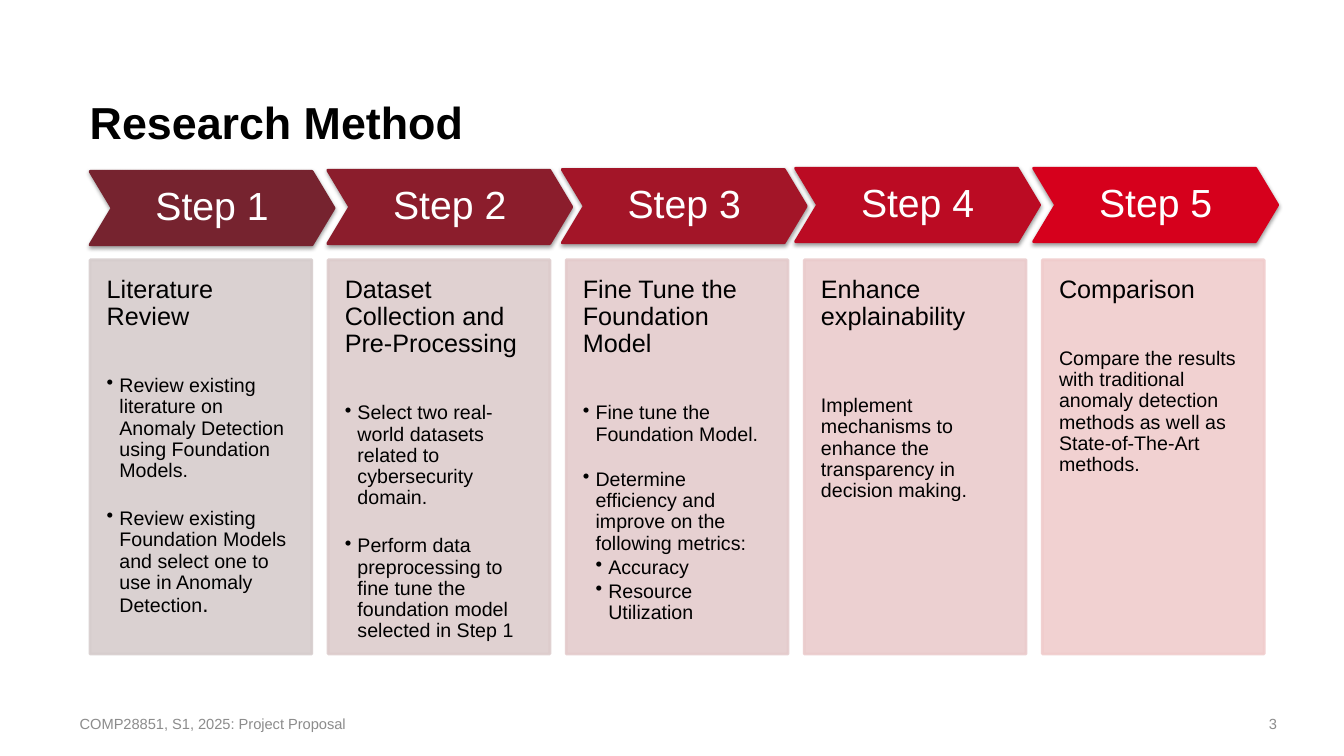
from dataclasses import dataclass

from lxml import etree
from pptx import Presentation
from pptx.dml.color import RGBColor
from pptx.enum.shapes import MSO_SHAPE
from pptx.enum.text import MSO_ANCHOR, MSO_AUTO_SIZE, PP_ALIGN
from pptx.oxml.ns import qn
from pptx.util import Cm, Pt

CHEVRON, RECT = MSO_SHAPE.CHEVRON, MSO_SHAPE.RECTANGLE
TOP, MIDDLE = MSO_ANCHOR.TOP, MSO_ANCHOR.MIDDLE
LEFT, CENTER, RIGHT = PP_ALIGN.LEFT, PP_ALIGN.CENTER, PP_ALIGN.RIGHT
NO_FIT = MSO_AUTO_SIZE.NONE

TITLE = "Research Method"
FOOTER = "COMP28851, S1, 2025: Project Proposal"
PAGE = "3"

# heading, then items of (bullet level, space before in points, text)
STEPS = [
    ("Literature Review", [
        (1, 32, "Review existing literature on Anomaly Detection using Foundation Models."),
        (1, 19.3, "Review existing Foundation Models and select one to use in Anomaly Detection"),
    ]),
    ("Dataset Collection and Pre-Processing", [
        (1, 32, "Select two real-world datasets related to cybersecurity domain."),
        (1, 19.3, "Perform data preprocessing to fine tune the foundation model selected in Step 1"),
    ]),
    ("Fine Tune the Foundation Model", [
        (1, 32, "Fine tune the Foundation Model."),
        (1, 17.2, "Determine efficiency and improve on the following metrics:"),
        (2, 2.1, "Accuracy"),
        (2, 2.1, "Resource Utilization"),
    ]),
    ("Enhance explainability", [
        (0, 46.3, "Implement mechanisms to enhance the transparency in decision making."),
    ]),
    ("Comparison", [
        (0, 32, "Compare the results with traditional anomaly detection methods "
                "as well as State-of-The-Art methods."),
    ]),
]
LARGE_STOP = "."
CHEVRON_SPOTS = [(2.27, 4.32), (8.26, 4.29), (14.17, 4.27), (20.05, 4.24), (26.05, 4.24)]


@dataclass(frozen=True)
class Theme:
    font: str = "Arial"
    black: str = "000000"
    white: str = "FFFFFF"
    grey: str = "8C8C8C"
    chevrons: tuple = ("76232F", "8B1D2C", "A31528", "BB0B23", "D6001C")
    cards: tuple = ("D6CDCD", "DDCCCC", "E4CBCC", "EACBCC", "F0CCCC")
    title: float = 32
    step: float = 28
    heading: float = 18
    stop: float = 16
    body: float = 14
    footer: float = 10.5


T = Theme()
CARD_LEFT, CARD_TOP, CARD_PITCH = 2.27, 6.55, 6
CARD_W, CARD_H = 5.59, 9.93
CHEVRON_W, CHEVRON_H = 6.15, 1.85
INDENT = 0.32


def add_run(p, text, size, color, bold=False):
    r = p.add_run()
    r.text = text
    r.font.name = T.font
    r.font.size = Pt(size)
    r.font.bold = bold
    r.font.color.rgb = RGBColor.from_string(color)


def set_frame(tf, anchor, inset):
    tf.word_wrap = True
    tf.auto_size = NO_FIT
    tf.vertical_anchor = anchor
    tf.margin_left = tf.margin_right = tf.margin_top = tf.margin_bottom = Cm(inset)


def add_block(slide, kind, x, y, w, h, color):
    sp = slide.shapes.add_shape(kind, Cm(x), Cm(y), Cm(w), Cm(h))
    sp.fill.solid()
    sp.fill.fore_color.rgb = RGBColor.from_string(color)
    sp.line.color.rgb = RGBColor.from_string(color)
    sp.line.width = Pt(2)
    sp.shadow.inherit = False
    return sp


def set_alpha(color_el, percent):
    etree.SubElement(color_el, qn("a:alpha"), val=str(percent * 1000))


def add_shadow(sp):
    effects = sp._element.spPr.find(qn("a:effectLst"))
    shadow = etree.SubElement(effects, qn("a:outerShdw"), blurRad=str(Pt(3.1)),
                              dist=str(Pt(1.6)), dir="5400000", rotWithShape="0")
    set_alpha(etree.SubElement(shadow, qn("a:srgbClr"), val=T.black), 38)


def set_bullet(p, level):
    p.level = level
    pPr = p._p.get_or_add_pPr()
    pPr.set("marL", str(Cm(INDENT * level)))
    pPr.set("indent", str(Cm(-INDENT)))
    etree.SubElement(pPr, qn("a:buChar"), char="•")


def add_chevron(slide, number, spot, color):
    sp = add_block(slide, CHEVRON, *spot, CHEVRON_W, CHEVRON_H, color)
    sp.adjustments[0] = 0.3
    add_shadow(sp)
    set_frame(sp.text_frame, MIDDLE, 0.23)
    p = sp.text_frame.paragraphs[0]
    p.alignment = CENTER
    p.line_spacing = 0.9
    add_run(p, f"Step {number}", T.step, T.white)


def add_card(slide, x, heading, items, color):
    sp = add_block(slide, RECT, x, CARD_TOP, CARD_W, CARD_H, color)
    for color_el in sp._element.spPr.iter(qn("a:srgbClr")):
        set_alpha(color_el, 90)
    tf = sp.text_frame
    set_frame(tf, TOP, 0.42)
    p = tf.paragraphs[0]
    p.alignment = LEFT
    p.line_spacing = 0.9
    add_run(p, heading, T.heading, T.black)
    for level, gap, text in items:
        p = tf.add_paragraph()
        p.alignment = LEFT
        p.line_spacing = 0.9
        p.space_before = Pt(gap)
        if level:
            set_bullet(p, level)
        add_run(p, text, T.body, T.black)
    return p


def add_footer(slide, x, w, text, align):
    tf = slide.shapes.add_textbox(Cm(x), Cm(17.73), Cm(w), Cm(1.02)).text_frame
    set_frame(tf, MIDDLE, 0)
    p = tf.paragraphs[0]
    p.alignment = align
    add_run(p, text, T.footer, T.grey)


def add_title(slide):
    sp = slide.shapes.title
    sp.left, sp.top, sp.width, sp.height = Cm(2.01), Cm(2.26), Cm(16.92), Cm(1.63)
    set_frame(sp.text_frame, MIDDLE, 0.25)
    p = sp.text_frame.paragraphs[0]
    p.alignment = LEFT
    add_run(p, TITLE, T.title, T.black, bold=True)


def main():
    prs = Presentation()
    prs.slide_width, prs.slide_height = Cm(33.87), Cm(19.05)
    s = prs.slides.add_slide(prs.slide_layouts[5])
    add_title(s)
    add_footer(s, 2.01, 14.73, FOOTER, LEFT)
    add_footer(s, 24.28, 7.9, PAGE, RIGHT)
    for i, (heading, items) in enumerate(STEPS):
        add_chevron(s, i + 1, CHEVRON_SPOTS[i], T.chevrons[i])
        last = add_card(s, CARD_LEFT + i * CARD_PITCH, heading, items, T.cards[i])
        if i == 0:
            add_run(last, LARGE_STOP, T.stop, T.black)
    prs.save("out.pptx")


if __name__ == "__main__":
    main()
